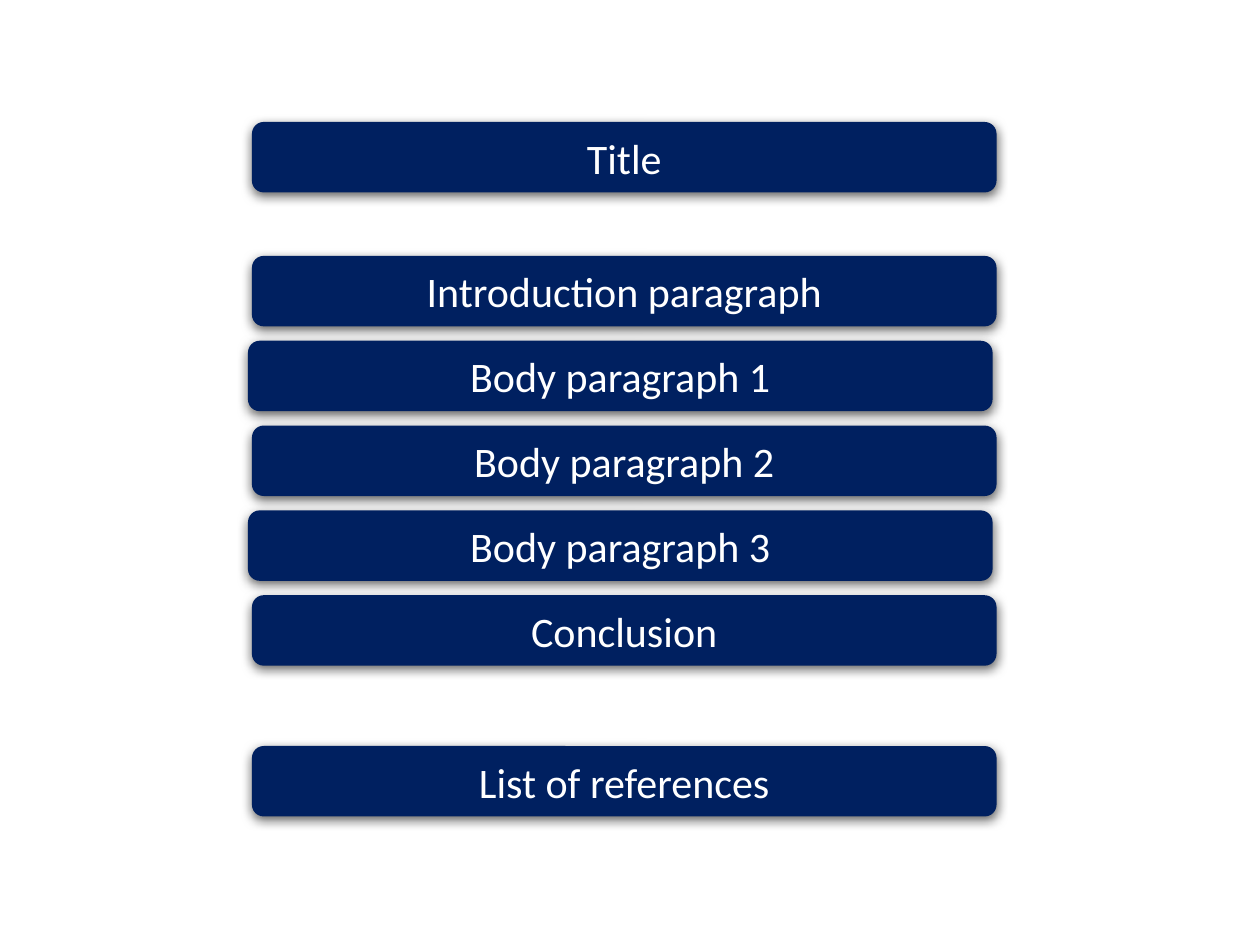
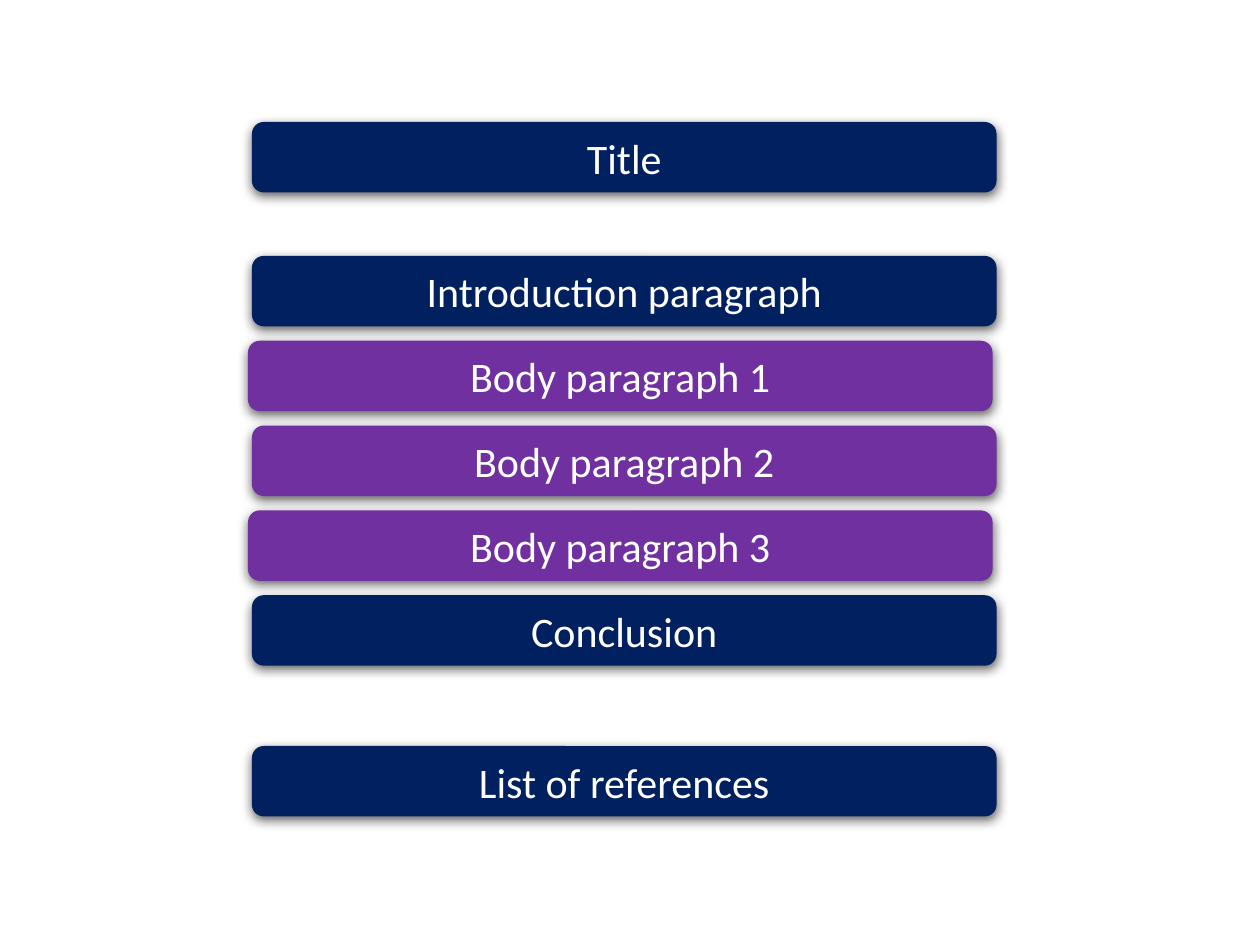
import dataclasses

import lxml.etree
import pptx
import pptx.dml.color
import pptx.enum.shapes
import pptx.enum.text
import pptx.oxml.ns
import pptx.util

Cm, Pt = pptx.util.Cm, pptx.util.Pt


@dataclasses.dataclass(frozen=True)
class Theme:
    """Colours, type and shadow shared by the slides."""
    navy: str = "002060"
    purple: str = "7030A0"
    white: str = "FFFFFF"
    black: str = "000000"
    font: str = "Calibri"
    size: int = 24
    shadow_blur: int = 6
    shadow_distance: int = 2
    shadow_opacity: int = 60


THEME = Theme()
BAR_HEIGHT = 1.42
PARAGRAPH_STEP = 1.71
STAGGER = 0.08
PARAGRAPHS = ["Introduction paragraph", "Body paragraph 1", "Body paragraph 2",
              "Body paragraph 3", "Conclusion"]


def rgb(colour):
    """Turn a hex string into a colour."""
    return pptx.dml.color.RGBColor.from_string(colour)


def write(shape, text, size=THEME.size, colour=THEME.white, font=THEME.font):
    """Put centred text in a shape."""
    frame = shape.text_frame
    frame.word_wrap = True
    frame.auto_size = pptx.enum.text.MSO_AUTO_SIZE.SHAPE_TO_FIT_TEXT
    frame.vertical_anchor = pptx.enum.text.MSO_ANCHOR.MIDDLE
    paragraph = frame.paragraphs[0]
    paragraph.alignment = pptx.enum.text.PP_ALIGN.CENTER
    run = paragraph.add_run()
    run.text = text
    run.font.name = font
    run.font.size = Pt(size)
    run.font.color.rgb = rgb(colour)


def cast_shadow(shape):
    """Give a shape a soft shadow straight below it."""
    shape.shadow.inherit = False
    qn = pptx.oxml.ns.qn
    effects = shape._element.spPr.find(qn("a:effectLst"))
    shadow = lxml.etree.SubElement(
        effects, qn("a:outerShdw"), blurRad=str(Pt(THEME.shadow_blur)),
        dist=str(Pt(THEME.shadow_distance)), dir=str(90 * 60000),
        algn="ctr", rotWithShape="0")
    colour = lxml.etree.SubElement(shadow, qn("a:srgbClr"), val=THEME.black)
    lxml.etree.SubElement(colour, qn("a:alpha"), val=str(THEME.shadow_opacity * 1000))


def add_bar(slide, text, left, top, width, fill=THEME.navy):
    """Draw one labelled bar of the essay outline."""
    bar = slide.shapes.add_shape(
        pptx.enum.shapes.MSO_SHAPE.ROUNDED_RECTANGLE,
        Cm(left), Cm(top), Cm(width), Cm(BAR_HEIGHT))
    bar.fill.solid()
    bar.fill.fore_color.rgb = rgb(fill)
    bar.line.fill.background()
    cast_shadow(bar)
    write(bar, text)


def add_paragraphs(slide, left, top, width, body_fill):
    """Stack the essay's paragraphs, every second one set slightly left."""
    for row, text in enumerate(PARAGRAPHS):
        fill = body_fill if text.startswith("Body") else THEME.navy
        add_bar(slide, text, left - STAGGER * (row % 2),
                top + row * PARAGRAPH_STEP, width, fill)


def add_essay_slide(deck, body_fill, left=5.08, top=2.46, width=15.01):
    """Add a slide with the essay's structure from title to references."""
    slide = deck.slides.add_slide(deck.slide_layouts[6])
    add_bar(slide, "Title", left, top, width)
    add_paragraphs(slide, left, top + 2.7, width, body_fill)
    add_bar(slide, "List of references", left, top + 12.58, width)


def main():
    """Build the deck."""
    deck = pptx.Presentation()
    deck.slide_width, deck.slide_height = Cm(25.4), Cm(19.05)
    for body_fill in (THEME.navy, THEME.purple):
        add_essay_slide(deck, body_fill)
    deck.save("out.pptx")


if __name__ == "__main__":
    main()
